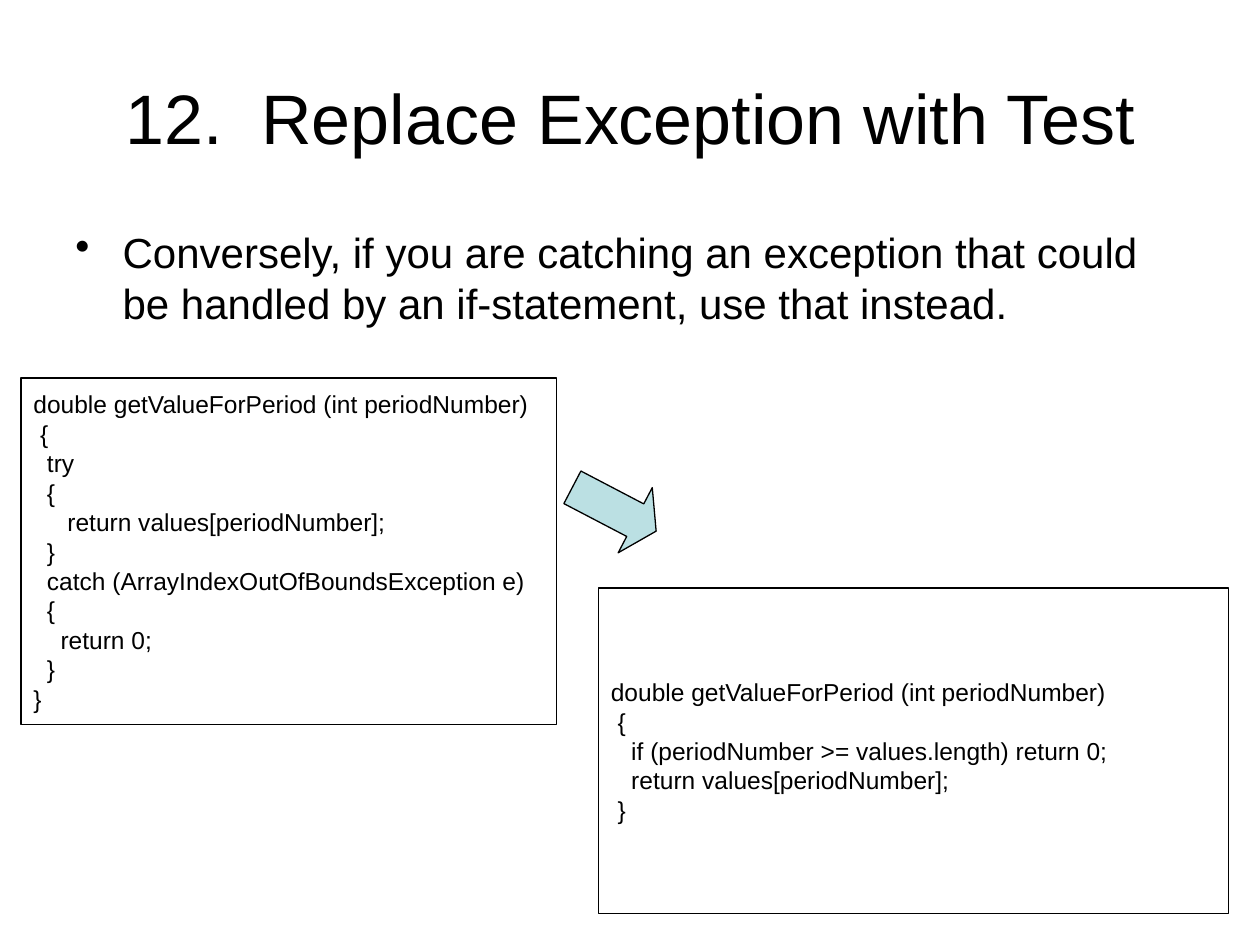
from pptx import Presentation
from pptx.dml.color import RGBColor
from pptx.enum.shapes import MSO_SHAPE as Shape
from pptx.enum.text import MSO_ANCHOR as Anchor, PP_ALIGN as Align
from pptx.util import Pt
from lxml.etree import SubElement
from pptx.oxml.ns import qn

BLACK = RGBColor(0x00, 0x00, 0x00)
PALE_TEAL = RGBColor(0xBB, 0xE0, 0xE3)
FONT = "Arial"

TITLE = "12.  Replace Exception with Test"
ADVICE = ("Conversely, if you are catching an exception that could "
          "be handled by an if-statement, use that instead.")
CATCH_CODE = [
    "double getValueForPeriod (int periodNumber)",
    " {",
    "  try",
    "  {",
    "     return values[periodNumber];",
    "  }",
    "  catch (ArrayIndexOutOfBoundsException e)",
    "  {",
    "    return 0;",
    "  }",
    "}",
]
TEST_CODE = [
    "double getValueForPeriod (int periodNumber)",
    " {",
    "   if (periodNumber >= values.length) return 0;",
    "   return values[periodNumber];",
    " }",
]
# left, top, width, height in points
TITLE_AREA = (36, 21.6, 648, 90)
ADVICE_AREA = (36, 126, 648, 356.4)
ARROW_AREA = (324, 270, 54, 42)
CODE_BOXES = [
    (CATCH_CODE, (12, 216, 306, 198)),
    (TEST_CODE, (342, 336, 360, 186)),
]


def write(box, lines, size, align=Align.LEFT, anchor=Anchor.MIDDLE, bullet_indent=0, space_before=0):
    frame = box.text_frame
    frame.word_wrap = True
    frame.vertical_anchor = anchor
    for index, line in enumerate(lines):
        para = frame.add_paragraph() if index else frame.paragraphs[0]
        para.alignment = align
        para.space_before = Pt(space_before)
        span = para.add_run()
        span.text = line
        span.font.name = FONT
        span.font.size = Pt(size)
        span.font.color.rgb = BLACK
        if bullet_indent:
            props = para._p.get_or_add_pPr()
            props.set("marL", str(Pt(bullet_indent)))
            props.set("indent", str(-Pt(bullet_indent)))
            SubElement(props, qn("a:buChar")).set("char", "•")


def add_outlined(page, kind, area, fill=None):
    shape = page.shapes.add_shape(kind, *map(Pt, area))
    shape.shadow.inherit = False
    shape.line.color.rgb = BLACK
    shape.line.width = Pt(0.75)
    if fill is None:
        shape.fill.background()
    else:
        shape.fill.solid()
        shape.fill.fore_color.rgb = fill
    return shape


deck = Presentation()
deck.slide_width, deck.slide_height = Pt(720), Pt(540)
page = deck.slides.add_slide(deck.slide_layouts[6])

title = page.shapes.add_textbox(*map(Pt, TITLE_AREA))
write(title, [TITLE], 40, align=Align.CENTER)

advice = page.shapes.add_textbox(*map(Pt, ADVICE_AREA))
write(advice, [ADVICE], 24, anchor=Anchor.TOP, bullet_indent=27, space_before=6)

for code, area in CODE_BOXES:
    write(add_outlined(page, Shape.RECTANGLE, area), code, 14)

arrow = add_outlined(page, Shape.RIGHT_ARROW, ARROW_AREA, fill=PALE_TEAL)
arrow.adjustments[0] = 0.5
arrow.adjustments[1] = 0.32
arrow.rotation = 27.6

deck.save("out.pptx")
